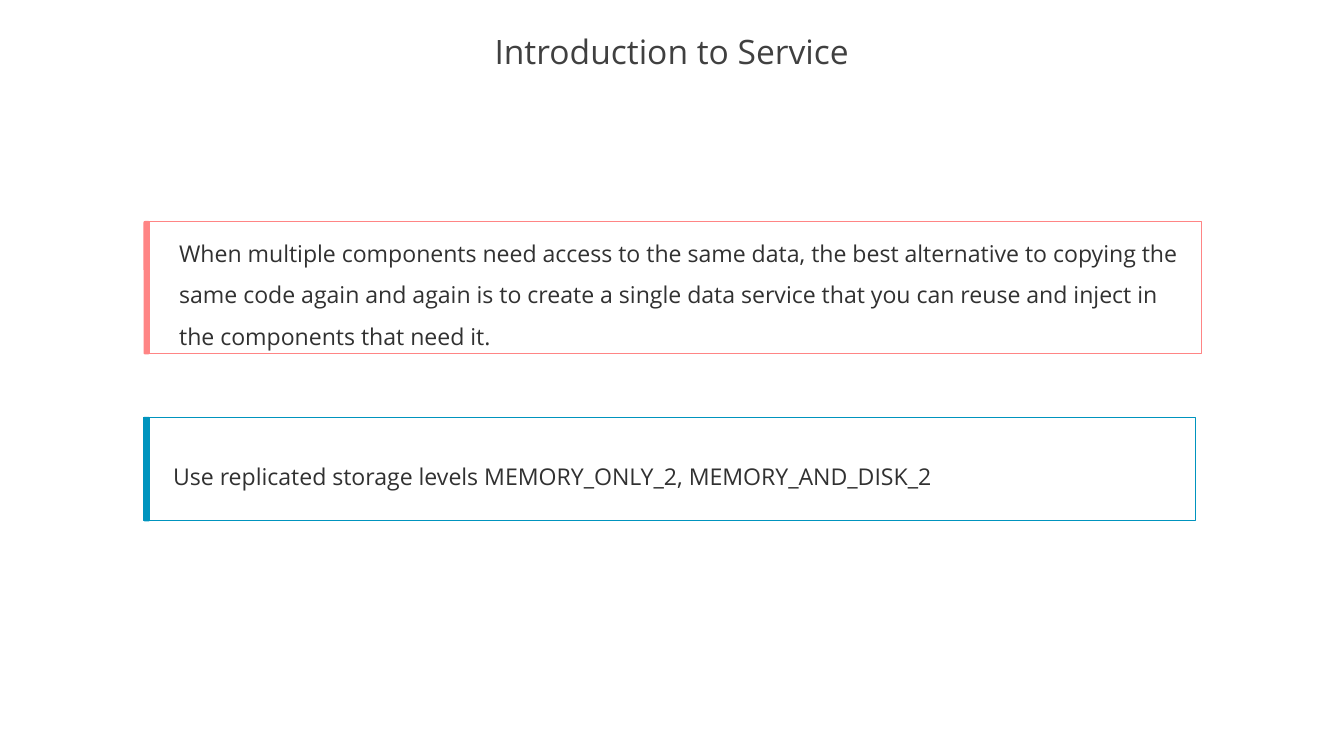
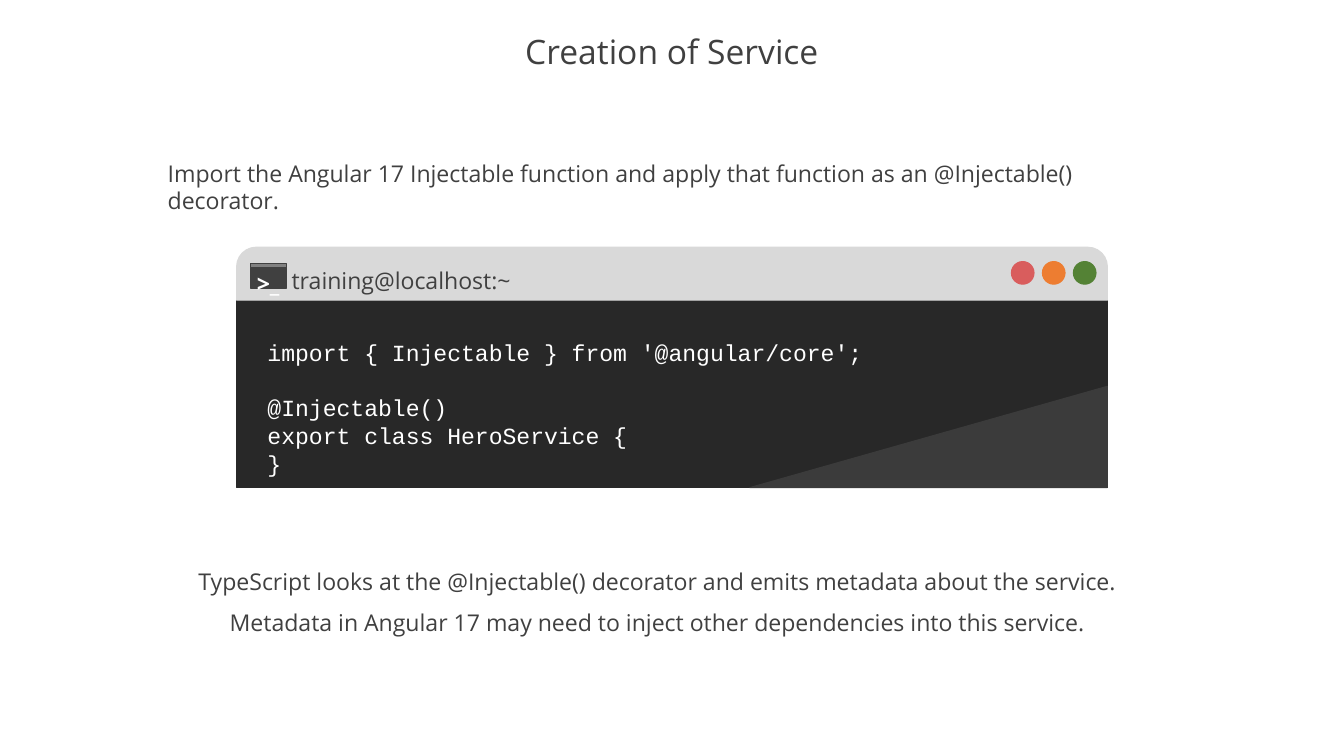
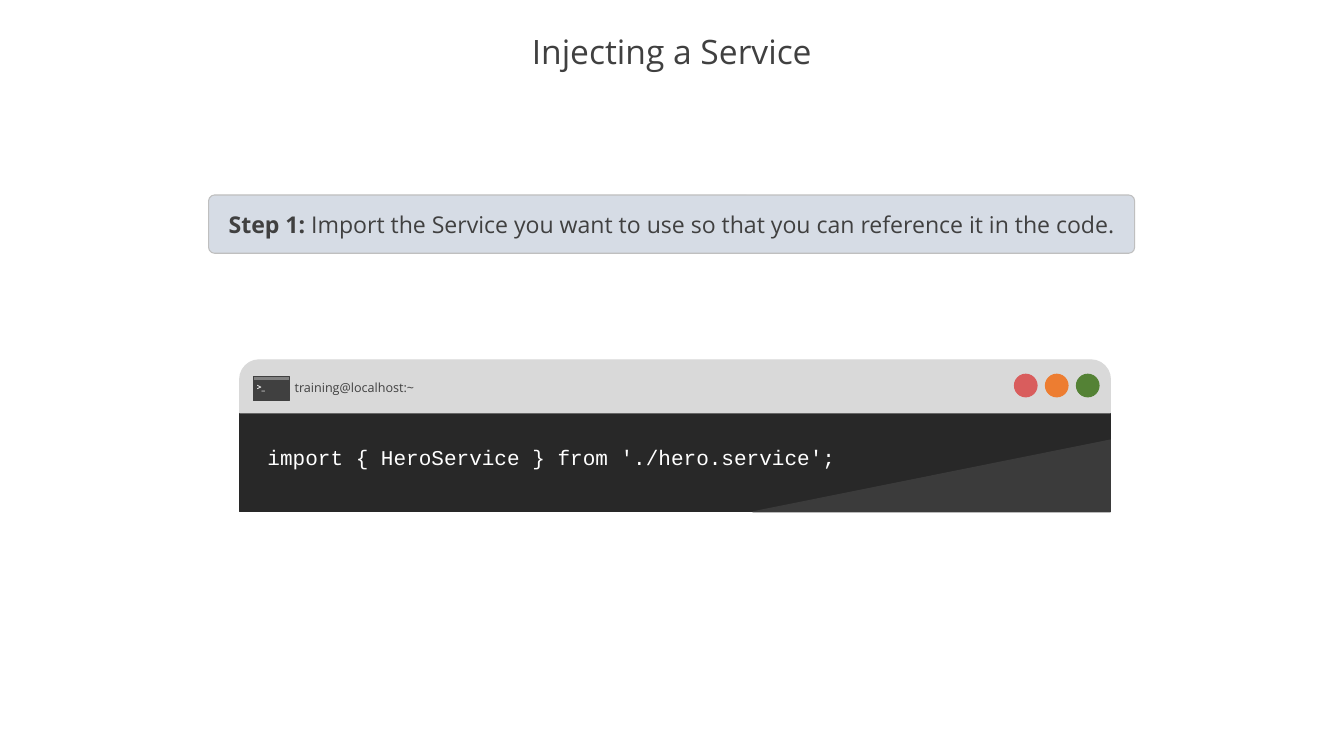
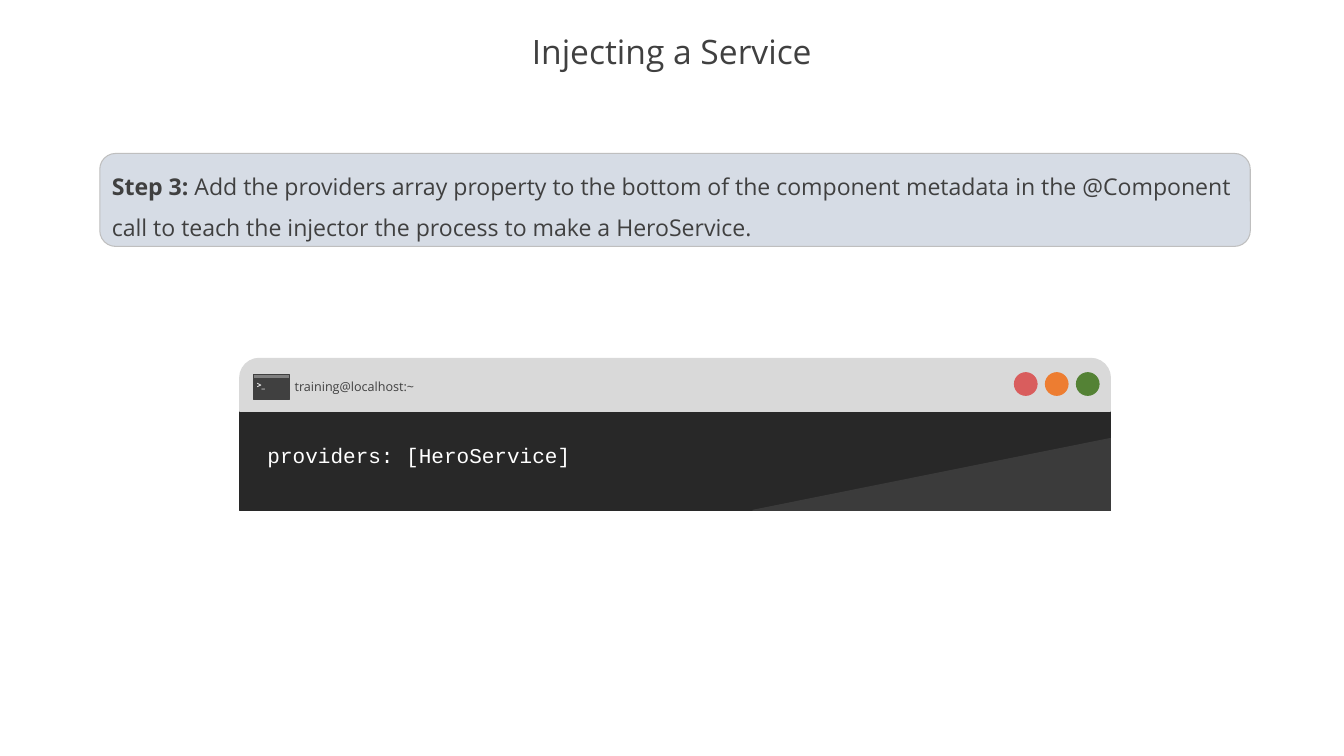
"""Build four slides about creating and injecting a service."""
from dataclasses import dataclass

import pptx
import pptx.dml.color
import pptx.enum.shapes
import pptx.enum.text
import pptx.presentation
import pptx.shapes.autoshape
import pptx.slide
import pptx.text.text
import pptx.util

Inches = pptx.util.Inches
Pt = pptx.util.Pt
Shape = pptx.shapes.autoshape.Shape
Slide = pptx.slide.Slide
ShapeKind = pptx.enum.shapes.MSO_SHAPE
Align = pptx.enum.text.PP_ALIGN
Anchor = pptx.enum.text.MSO_ANCHOR
AutoSize = pptx.enum.text.MSO_AUTO_SIZE

COLORS = {
    "text": "404040",
    "card_text": "313131",
    "white": "FFFFFF",
    "coral": "FF8585",
    "blue": "0094BE",
    "step_fill": "D6DCE5",
    "step_line": "BFBFBF",
    "window": "282828",
    "window_corner": "3B3B3B",
    "window_bar": "D9D9D9",
    "icon_strip": "808080",
    "red_button": "D95D5D",
    "orange_button": "ED7D31",
    "green_button": "548235",
}
BUTTONS = ("red_button", "orange_button", "green_button")
BODY_FONT = "Open Sans"
CODE_FONT = "Courier New"
SLIDE_WIDTH = 17.78
BAR_CENTER = 1.94
BAR_THICKNESS = 0.07
WINDOW_WIDTH = 11.52
WINDOW_BAR_HEIGHT = 0.7
CORNER_WIDTH = 4.73


@dataclass(frozen=True)
class Box:
    left: float
    top: float
    width: float
    height: float

    def lengths(self) -> tuple:
        return tuple(Inches(value) for value in (self.left, self.top, self.width, self.height))


@dataclass(frozen=True)
class TextStyle:
    size: float = 22
    color: str = "text"
    font: str = BODY_FONT
    bold: bool = False
    align: Align = Align.LEFT
    spacing: float = 1.0


@dataclass(frozen=True)
class Card:
    box: Box
    color: str
    text: str


@dataclass(frozen=True)
class Step:
    box: Box
    label: str
    text: str
    style: TextStyle
    rounding: float


@dataclass(frozen=True)
class CodeLine:
    text: str
    space_before: float = 0


@dataclass(frozen=True)
class Terminal:
    left: float
    top: float
    body_height: float
    corner_height: float
    label: Box
    label_size: float
    prompt: Box
    prompt_size: float
    code: Box
    code_size: float
    code_inset: float
    lines: tuple[CodeLine, ...]


def rgb(name: str) -> pptx.dml.color.RGBColor:
    return pptx.dml.color.RGBColor.from_string(COLORS[name])


def paint(shape: Shape, fill: str, line: str, line_width: float = 1) -> None:
    shape.shadow.inherit = False
    shape.fill.solid()
    shape.fill.fore_color.rgb = rgb(fill)
    shape.line.color.rgb = rgb(line)
    shape.line.width = Pt(line_width)


def add_shape(slide: Slide, kind: ShapeKind, box: Box, fill: str, line: str = "",
              line_width: float = 1, adjustments: tuple[float, ...] = ()) -> Shape:
    shape = slide.shapes.add_shape(kind, *box.lengths())
    paint(shape, fill, line or fill, line_width)
    for index, value in enumerate(adjustments):
        shape.adjustments[index] = value
    return shape


def format_paragraph(paragraph: pptx.text.text._Paragraph, style: TextStyle) -> None:
    paragraph.alignment = style.align
    paragraph.line_spacing = style.spacing
    for run in paragraph.runs:
        run.font.name = style.font
        run.font.size = Pt(style.size)
        run.font.bold = style.bold
        run.font.color.rgb = rgb(style.color)


def set_text(shape: Shape, text: str, style: TextStyle,
             anchor: Anchor = Anchor.MIDDLE) -> None:
    frame = shape.text_frame
    frame.text = text
    frame.word_wrap = True
    frame.vertical_anchor = anchor
    for paragraph in frame.paragraphs:
        format_paragraph(paragraph, style)


def add_text(slide: Slide, box: Box, text: str, style: TextStyle,
             anchor: Anchor = Anchor.MIDDLE, wrap: bool = True) -> Shape:
    shape = slide.shapes.add_textbox(*box.lengths())
    set_text(shape, text, style, anchor)
    shape.text_frame.word_wrap = wrap
    return shape


def add_titled_slide(presentation: pptx.presentation.Presentation, title: str) -> Slide:
    slide = presentation.slides.add_slide(presentation.slide_layouts[5])
    shape = slide.shapes.title
    shape.left, shape.top, shape.width, shape.height = Box(0, 0.35, SLIDE_WIDTH, 0.73).lengths()
    set_text(shape, title, TextStyle(size=32, align=Align.CENTER, spacing=0.9))
    shape.text_frame.auto_size = AutoSize.NONE
    return slide


def add_card(slide: Slide, card: Card) -> None:
    box = card.box
    frame_shape = add_shape(slide, ShapeKind.RECTANGLE, box, "white", card.color, 0.75)
    set_text(frame_shape, card.text, TextStyle(color="card_text", spacing=1.5))
    frame_shape.text_frame.margin_left = Inches(0.39)
    bar_box = Box(BAR_CENTER - box.height / 2, box.top + (box.height - BAR_THICKNESS) / 2,
                  box.height, BAR_THICKNESS)
    bar = add_shape(slide, ShapeKind.ROUND_2_SAME_RECTANGLE, bar_box, card.color,
                    adjustments=(0.16, 0.17))
    bar.rotation = 90


def add_step(slide: Slide, step: Step) -> None:
    shape = add_shape(slide, ShapeKind.ROUNDED_RECTANGLE, step.box, "step_fill", "step_line",
                      adjustments=(step.rounding,))
    set_text(shape, step.label, step.style)
    paragraph = shape.text_frame.paragraphs[0]
    paragraph.add_run().text = step.text
    format_paragraph(paragraph, step.style)
    paragraph.runs[0].font.bold = True


def add_corner(slide: Slide, right: float, bottom: float, height: float) -> None:
    right_edge, bottom_edge = Inches(right), Inches(bottom)
    builder = slide.shapes.build_freeform(right_edge, Inches(bottom - height))
    builder.add_line_segments(
        [(right_edge, bottom_edge), (Inches(right - CORNER_WIDTH), bottom_edge)], close=True)
    paint(builder.convert_to_shape(), "window_corner", "window_corner")


def add_code(slide: Slide, terminal: Terminal) -> None:
    text = "\n".join(line.text for line in terminal.lines)
    style = TextStyle(terminal.code_size, "white", CODE_FONT)
    frame = add_text(slide, terminal.code, text, style, Anchor.TOP).text_frame
    frame.margin_top = Inches(terminal.code_inset)
    for paragraph, line in zip(frame.paragraphs, terminal.lines):
        paragraph.space_before = Pt(line.space_before)


def add_terminal(slide: Slide, terminal: Terminal) -> None:
    left, top = terminal.left, terminal.top
    body = Box(left, top + WINDOW_BAR_HEIGHT, WINDOW_WIDTH, terminal.body_height)
    add_shape(slide, ShapeKind.RECTANGLE, body, "window")
    add_corner(slide, left + WINDOW_WIDTH, body.top + body.height, terminal.corner_height)
    add_shape(slide, ShapeKind.ROUND_2_SAME_RECTANGLE,
              Box(left, top, WINDOW_WIDTH, WINDOW_BAR_HEIGHT), "window_bar",
              adjustments=(0.37, 0))
    for index, color in enumerate(BUTTONS):
        add_shape(slide, ShapeKind.OVAL,
                  Box(left + 10.25 + 0.41 * index, top + 0.19, 0.3, 0.3), color)
    add_text(slide, terminal.label, "training@localhost:~", TextStyle(terminal.label_size),
             Anchor.TOP, wrap=False)
    add_shape(slide, ShapeKind.RECTANGLE, Box(left + 0.18, top + 0.27, 0.48, 0.27), "text")
    add_shape(slide, ShapeKind.RECTANGLE, Box(left + 0.18, top + 0.22, 0.48, 0.05),
              "icon_strip", "text")
    add_text(slide, terminal.prompt, " >_", TextStyle(terminal.prompt_size, "white", bold=True),
             Anchor.TOP, wrap=False)
    add_code(slide, terminal)


def small_terminal(top: float, code: str) -> Terminal:
    return Terminal(
        left=3.17, top=top, body_height=1.31, corner_height=0.95,
        label=Box(3.8, top + 0.22, 1.8, 0.3), label_size=12,
        prompt=Box(3.27, top + 0.24, 0.34, 0.24), prompt_size=8,
        code=Box(3.44, top + 1.07, 10.89, 0.44), code_size=20, code_inset=0.05,
        lines=(CodeLine(code),))


CARDS = (
    Card(Box(1.98, 2.93, 13.91, 1.75), "coral",
         "When multiple components need access to the same data, the best alternative to "
         "copying the same code again and again is to create a single data service that you "
         "can reuse and inject in the components that need it."),
    Card(Box(1.9, 5.52, 13.91, 1.37), "blue",
         "Use replicated storage levels MEMORY_ONLY_2, MEMORY_AND_DISK_2"),
)
SERVICE_TERMINAL = Terminal(
    left=3.13, top=3.27, body_height=2.48, corner_height=1.34,
    label=Box(3.76, 3.48, 3.14, 0.47), label_size=22,
    prompt=Box(3.22, 3.51, 0.58, 0.47), prompt_size=22,
    code=Box(3.44, 4.03, 10.89, 2.69), code_size=22, code_inset=0.45,
    lines=(
        CodeLine("import { Injectable } from '@angular/core';"),
        CodeLine("@Injectable()", space_before=26),
        CodeLine("export class HeroService {"),
        CodeLine("}"),
    ))
INJECTION_STEPS = (
    (Step(Box(2.76, 2.58, 12.25, 0.77), "Step 1: ",
          "Import the Service you want to use so that you can reference it in the code.",
          TextStyle(align=Align.CENTER), 0.1),
     small_terminal(4.76, "import { HeroService } from './hero.service';")),
    (Step(Box(1.32, 2.03, 15.22, 1.23), "Step 3: ",
          "Add the providers array property to the bottom of the component metadata in the "
          "@Component call to teach the injector the process to make a HeroService.",
          TextStyle(spacing=1.5), 0.17),
     small_terminal(4.74, "providers: [HeroService]")),
)


def main() -> None:
    presentation = pptx.Presentation()
    presentation.slide_width = Inches(SLIDE_WIDTH)
    presentation.slide_height = Inches(10)

    introduction = add_titled_slide(presentation, "Introduction to Service")
    for card in CARDS:
        add_card(introduction, card)

    creation = add_titled_slide(presentation, "Creation of Service")
    add_text(creation, Box(1.93, 7.29, 13.53, 1.15),
             "TypeScript looks at the @Injectable() decorator and emits metadata about the "
             "service. Metadata in Angular 17 may need to inject other dependencies into this "
             "service.", TextStyle(align=Align.CENTER, spacing=1.5))
    add_text(creation, Box(2.12, 2.05, 13.53, 0.84),
             "Import the Angular 17 Injectable function and apply that function as an "
             "@Injectable() decorator.", TextStyle())
    add_terminal(creation, SERVICE_TERMINAL)

    for step, terminal in INJECTION_STEPS:
        injection = add_titled_slide(presentation, "Injecting a Service")
        add_step(injection, step)
        add_terminal(injection, terminal)

    presentation.save("out.pptx")


if __name__ == "__main__":
    main()
